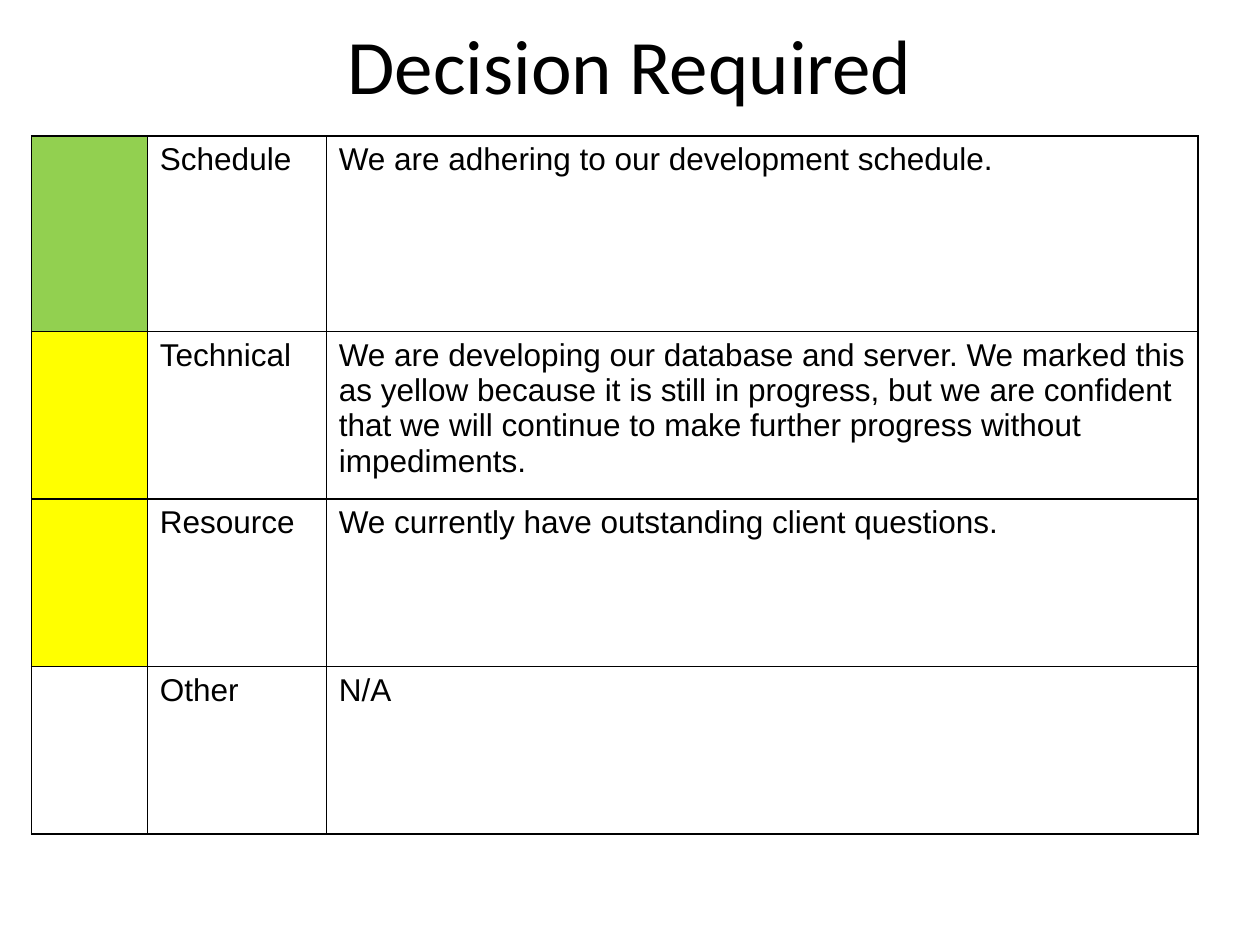
"""Build the Decision Required status slide."""
from dataclasses import dataclass
from typing import NamedTuple

from lxml.etree import SubElement
from pptx import Presentation
from pptx.dml.color import RGBColor as RGB
from pptx.enum.text import MSO_ANCHOR as Anchor, PP_ALIGN as Align
from pptx.oxml.ns import qn
from pptx.util import Inches, Pt


@dataclass(frozen=True)
class Theme:
    ink: str = "000000"
    paper: str = "FFFFFF"
    green: str = "92D050"
    yellow: str = "FFFF00"
    title_font: str = "Calibri"
    body_font: str = "Arial"
    title_size: int = 44
    body_size: int = 18
    border: int = 1


class Status(NamedTuple):
    color: str
    area: str
    comment: str
    height: float


THEME = Theme()
COLUMNS = (0.92, 1.42, 6.92)
STATUSES = (
    Status(THEME.green, "Schedule", "We are adhering to our development schedule.", 1.55),
    Status(
        THEME.yellow,
        "Technical",
        "We are developing our database and server. We marked this as yellow "
        "because it is still in progress, but we are confident that we will "
        "continue to make further progress without impediments.",
        1.33,
    ),
    Status(THEME.yellow, "Resource", "We currently have outstanding client questions.", 1.33),
    Status(THEME.paper, "Other", "N/A", 1.33),
)


def write(p, text: str, font: str, size: int) -> None:
    r = p.add_run()
    r.text = text
    for name, value in {"name": font, "size": Pt(size)}.items():
        setattr(r.font, name, value)
    r.font.color.rgb = RGB.from_string(THEME.ink)


def add_title(slide, text: str) -> None:
    sp = slide.shapes.add_textbox(Inches(0.5), Inches(0.08), Inches(9), Inches(0.86))
    tf = sp.text_frame
    for name, value in {"word_wrap": True, "vertical_anchor": Anchor.MIDDLE}.items():
        setattr(tf, name, value)
    p = tf.paragraphs[0]
    p.alignment = Align.CENTER
    write(p, text, THEME.title_font, THEME.title_size)


def add_borders(cell) -> None:
    props = cell._tc.get_or_add_tcPr()
    for index, side in enumerate(("lnL", "lnR", "lnT", "lnB")):
        line = SubElement(props, qn(f"a:{side}"), w=str(Pt(THEME.border)))
        fill = SubElement(line, qn("a:solidFill"))
        SubElement(fill, qn("a:srgbClr"), val=THEME.ink)
        props.insert(index, line)


def fill_cell(cell, color: str, text: str) -> None:
    cell.fill.solid()
    cell.fill.fore_color.rgb = RGB.from_string(color)
    add_borders(cell)
    if text:
        write(cell.text_frame.paragraphs[0], text, THEME.body_font, THEME.body_size)


def add_status_table(slide, statuses: tuple[Status, ...]) -> None:
    width, height = sum(COLUMNS), sum(s.height for s in statuses)
    table = slide.shapes.add_table(
        len(statuses), len(COLUMNS), Inches(0.25), Inches(1.08), Inches(width), Inches(height)
    ).table
    for name in ("first_row", "horz_banding"):
        setattr(table, name, False)
    for column, size in zip(table.columns, COLUMNS):
        column.width = Inches(size)
    for row, s in zip(table.rows, statuses):
        row.height = Inches(s.height)
        contents = ((s.color, ""), (THEME.paper, s.area), (THEME.paper, s.comment))
        for cell, (color, text) in zip(row.cells, contents):
            fill_cell(cell, color, text)


def main() -> None:
    prs = Presentation()
    prs.slide_width, prs.slide_height = Inches(10), Inches(7.5)
    slide = prs.slides.add_slide(prs.slide_layouts[6])
    add_title(slide, "Decision Required")
    add_status_table(slide, STATUSES)
    prs.save("out.pptx")


if __name__ == "__main__":
    main()
